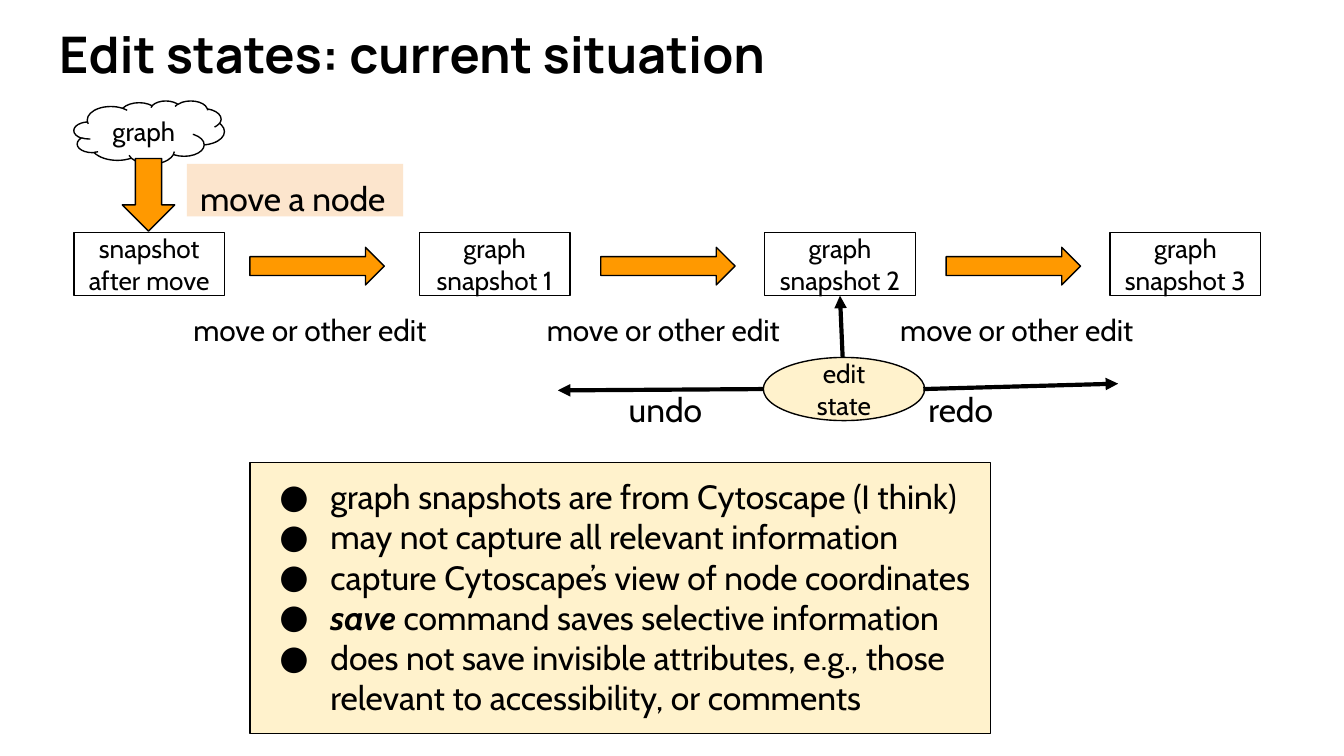
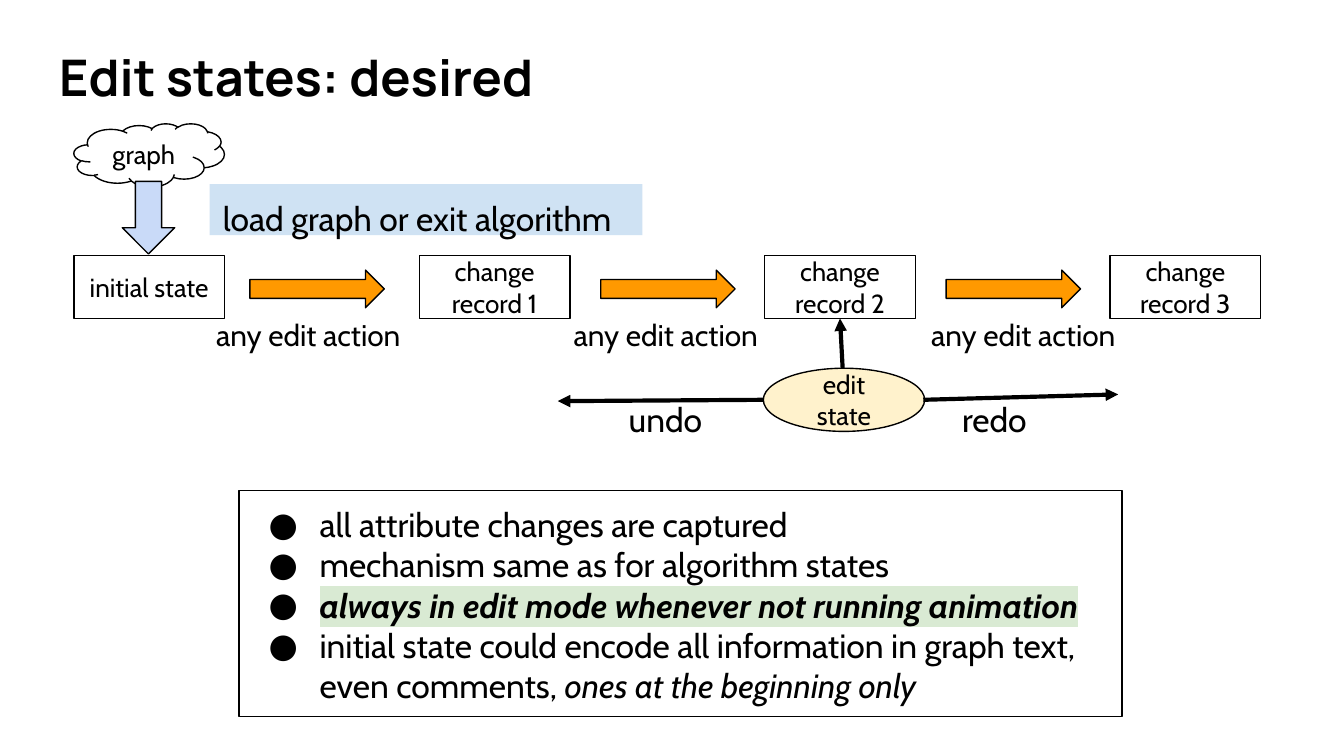
from dataclasses import dataclass

from lxml.etree import SubElement as Sub
from pptx import Presentation
from pptx.dml.color import RGBColor as Rgb
from pptx.enum.shapes import MSO_CONNECTOR as Link, MSO_SHAPE as Kind
from pptx.enum.text import MSO_ANCHOR as Anchor, MSO_AUTO_SIZE as Auto, PP_ALIGN as Align
from pptx.oxml.ns import qn
from pptx.util import Inches, Pt

BLACK, WHITE, CREAM, ORANGE = "000000", "FFFFFF", "FFF2CC", "FF9900"
BODY, HEAD = "Cabin", "Manrope"
BOX_X, BOX_STEP, BOX_W, BOX_H = 0.55, 2.57, 1.12, 0.47
ARROW_X = (1.86, 4.47, 7.04)


@dataclass(frozen=True)
class Area:
    x: float
    y: float
    w: float
    h: float


@dataclass(frozen=True)
class Bit:
    text: str
    bold: bool = False
    slant: bool = False
    mark: str = ""


@dataclass(frozen=True)
class Look:
    fill: str = ""
    line: str = BLACK
    size: float = 14
    mid: bool = True


@dataclass(frozen=True)
class Scene:
    title: str
    head: Area
    states: tuple[str, ...]
    start: str
    note: str
    tag: Area
    tint: str
    edit: str
    edit_x: float
    edit_y: float
    edit_w: float
    edit_step: float
    hub_y: float
    redo_x: float
    panel: Area
    panel_fill: str
    points: tuple[tuple[Bit, ...], ...]


PLAIN = Look(WHITE)
SCENES = (
    Scene(
        "Edit states: current situation", Area(0.34, 0.07, 5.51, 0.68),
        ("snapshot after move", "graph snapshot 1", "graph snapshot 2", "graph snapshot 3"),
        ORANGE, "move a node", Area(1.39, 1.22, 1.61, 0.39), "FCE5CD",
        "move or other edit", 1.34, 2.22, 1.96, 2.63,
        2.66, 6.81, Area(1.86, 3.44, 5.51, 2.02), CREAM,
        (
            (Bit("graph snapshots are from Cytoscape (I think)"),),
            (Bit("may not capture all relevant information"),),
            (Bit("capture Cytoscape’s view of node coordinates"),),
            (Bit("save", True, True), Bit(" command saves selective information")),
            (Bit("does not save invisible attributes, e.g., those "
                 "relevant to accessibility, or comments"),),
        ),
    ),
    Scene(
        "Edit states: desired", Area(0.34, 0.24, 3.73, 0.68),
        ("initial state", "change record 1", "change record 2", "change record 3"),
        "C9DAF8", "load graph or exit algorithm", Area(1.56, 1.37, 3.22, 0.38), "CFE2F3",
        "any edit action", 1.51, 2.26, 1.61, 2.66,
        2.74, 7.06, Area(1.78, 3.65, 6.57, 1.68), "",
        (
            (Bit("all attribute changes are captured"),),
            (Bit("mechanism same as for algorithm states"),),
            (Bit("always in edit mode whenever not running animation", True, True, "D9EAD3"),),
            (Bit("initial state could encode all information in graph text, even comments, "),
             Bit("ones at the beginning only", slant=True)),
        ),
    ),
)


def tone(code: str) -> Rgb:
    return Rgb.from_string(code)


def span(area: Area) -> tuple:
    return tuple(Inches(v) for v in (area.x, area.y, area.w, area.h))


def style(run, size: float, face: str = BODY, bold: bool = False, slant: bool = False) -> None:
    font = run.font
    font.name, font.size, font.bold, font.italic = face, Pt(size), bold, slant
    font.color.rgb = tone(BLACK)


def set_frame(shape):
    frame = shape.text_frame
    frame.word_wrap, frame.auto_size = True, Auto.NONE
    frame.margin_left = frame.margin_right = Inches(0.1)
    frame.margin_top = frame.margin_bottom = Inches(0.1)
    return frame


def write(shape, text: str, size: float, mid: bool = False,
          face: str = BODY, bold: bool = False) -> None:
    frame = set_frame(shape)
    frame.text = text
    frame.vertical_anchor = Anchor.MIDDLE if mid else Anchor.TOP
    para = frame.paragraphs[0]
    para.alignment = Align.CENTER if mid else Align.LEFT
    for run in para.runs:
        style(run, size, face, bold)


def draw(slide, kind: Kind, area: Area, look: Look, text: str = ""):
    shape = slide.shapes.add_shape(kind, *span(area))
    shape.shadow.inherit = False
    if look.fill:
        shape.fill.solid()
        shape.fill.fore_color.rgb = tone(look.fill)
    else:
        shape.fill.background()
    if look.line:
        shape.line.color.rgb = tone(look.line)
        shape.line.width = Pt(0.75)
    else:
        shape.line.fill.background()
    if text:
        write(shape, text, look.size, look.mid)
    return shape


def label(slide, text: str, area: Area, size: float) -> None:
    write(slide.shapes.add_textbox(*span(area)), text, size)


def point(slide, x1: float, y1: float, x2: float, y2: float) -> None:
    ends = (Inches(v) for v in (x1, y1, x2, y2))
    link = slide.shapes.add_connector(Link.STRAIGHT, *ends)
    link.line.color.rgb = tone(BLACK)
    link.line.width = Pt(2.25)
    Sub(link.line._get_or_add_ln(), qn("a:tailEnd"), type="triangle")
    Sub(link._element.spPr, qn("a:effectLst"))


def shade(run, code: str) -> None:
    props = run.font._element
    mark = Sub(props, qn("a:highlight"))
    Sub(mark, qn("a:srgbClr"), val=code)
    props.find(qn("a:solidFill")).addnext(mark)


def dot(para) -> None:
    props = para._p.get_or_add_pPr()
    props.set("marL", str(Inches(0.5)))
    props.set("indent", str(Inches(-0.38)))
    Sub(Sub(props, qn("a:buClr")), qn("a:srgbClr"), val=BLACK)
    Sub(props, qn("a:buFont"), typeface=BODY)
    Sub(props, qn("a:buChar"), char="●")


def list_points(shape, points: tuple[tuple[Bit, ...], ...]) -> None:
    frame = set_frame(shape)
    frame.vertical_anchor = Anchor.TOP
    for i, bits in enumerate(points):
        para = frame.add_paragraph() if i else frame.paragraphs[0]
        para.alignment = Align.LEFT
        dot(para)
        for bit in bits:
            run = para.add_run()
            run.text = bit.text
            style(run, 18, BODY, bit.bold, bit.slant)
            if bit.mark:
                shade(run, bit.mark)


def add_title(slide, scene: Scene) -> None:
    title = slide.shapes.title
    title.left, title.top, title.width, title.height = span(scene.head)
    write(title, scene.title, 27, face=HEAD, bold=True)


def add_chain(slide, scene: Scene, row: float) -> None:
    for i, state in enumerate(scene.states):
        draw(slide, Kind.RECTANGLE, Area(BOX_X + i * BOX_STEP, row, BOX_W, BOX_H), PLAIN, state)
    for i, x in enumerate(ARROW_X):
        draw(slide, Kind.RIGHT_ARROW, Area(x, row + 0.11, 1, 0.28), Look(ORANGE))
        spot = Area(scene.edit_x + i * scene.edit_step, scene.edit_y, scene.edit_w, 0.28)
        label(slide, scene.edit, spot, 16)


def add_source(slide, scene: Scene, row: float) -> None:
    draw(slide, Kind.CLOUD, Area(BOX_X, row - 0.98, BOX_W, BOX_H), PLAIN, "graph")
    draw(slide, Kind.DOWN_ARROW, Area(0.91, row - 0.55, 0.39, 0.54), Look(scene.start))
    draw(slide, Kind.RECTANGLE, scene.tag, Look(scene.tint, "", 18, False), scene.note)


def add_hub(slide, scene: Scene, row: float) -> None:
    top = scene.hub_y
    mid = top + BOX_H / 2
    draw(slide, Kind.OVAL, Area(5.68, top, 1.2, BOX_H), Look(CREAM), "edit state")
    point(slide, 6.27, top, 6.25, row + BOX_H)
    point(slide, 6.87, mid, 8.32, mid - 0.04)
    point(slide, 5.68, mid, 4.15, mid + 0.01)
    label(slide, "undo", Area(4.58, top + 0.13, 1.2, 0.28), 18)
    label(slide, "redo", Area(scene.redo_x, top + 0.13, 1.61, 0.28), 18)


def build(deck, scene: Scene) -> None:
    slide = deck.slides.add_slide(deck.slide_layouts[5])
    row = scene.head.y + 1.66
    add_title(slide, scene)
    add_chain(slide, scene, row)
    add_source(slide, scene, row)
    add_hub(slide, scene, row)
    panel = draw(slide, Kind.RECTANGLE, scene.panel, Look(scene.panel_fill))
    list_points(panel, scene.points)


def main() -> None:
    deck = Presentation()
    deck.slide_width = Inches(10)
    deck.slide_height = Inches(10) * 9 // 16
    for scene in SCENES:
        build(deck, scene)
    deck.save("out.pptx")


if __name__ == "__main__":
    main()
